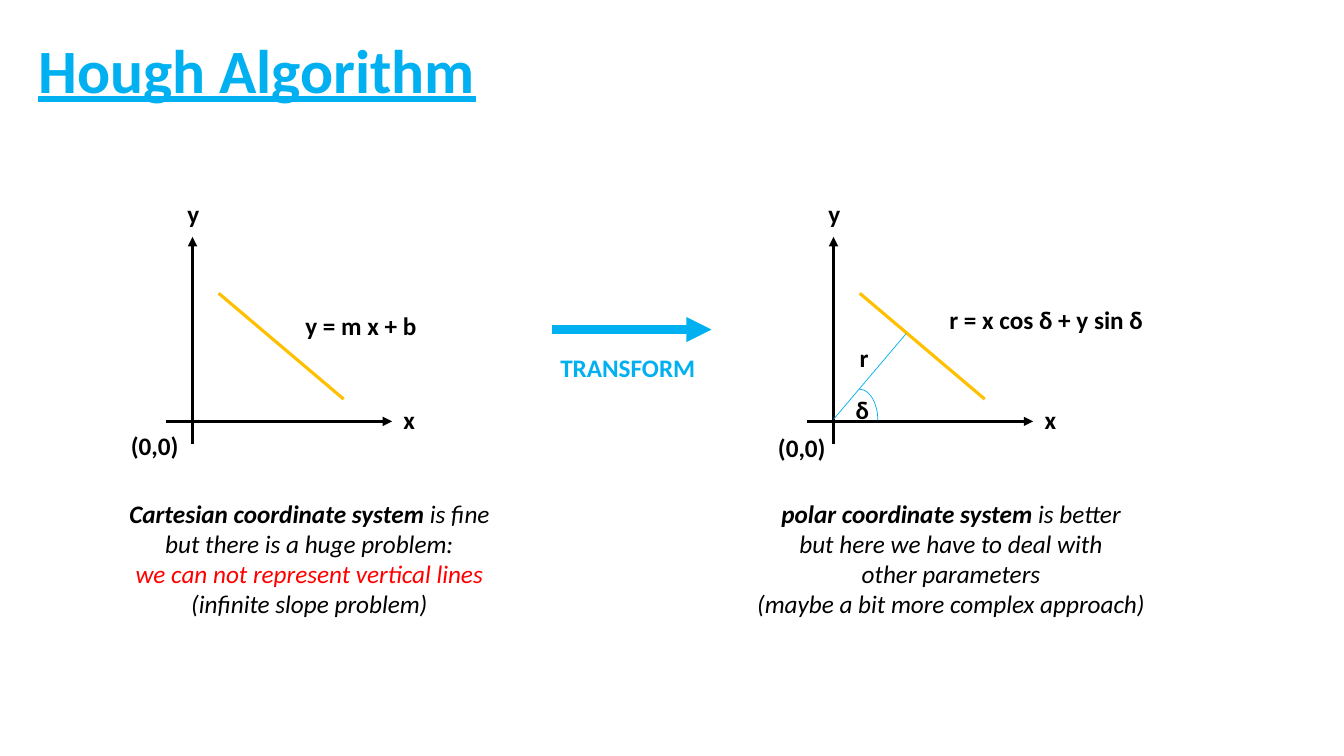
from lxml import etree
from pptx import Presentation
from pptx.dml.color import RGBColor
from pptx.enum.shapes import MSO_CONNECTOR, MSO_SHAPE
from pptx.enum.text import MSO_ANCHOR, MSO_AUTO_SIZE, PP_ALIGN
from pptx.oxml.ns import qn
from pptx.util import Pt

STRAIGHT = MSO_CONNECTOR.STRAIGHT
ARC = MSO_SHAPE.ARC
MIDDLE = MSO_ANCHOR.MIDDLE
GROW = MSO_AUTO_SIZE.SHAPE_TO_FIT_TEXT
LEFT, CENTER = PP_ALIGN.LEFT, PP_ALIGN.CENTER

FONT = "Calibri"
BLACK, BLUE, GOLD, RED = "000000", "00B0F0", "FFC000", "FF0000"
LABEL_HEIGHT = 28.8
TITLE = "Hough Algorithm"

PLOT_LEFTS = [118.8, 576.7]
AXES = [((18.7, 316.8), (18.7, 169.2)), ((0, 301), (161.3, 301))]
SLOPE = ((37.4, 209.5), (126.7, 285.1))
AXIS_LABELS = [("x", 162.3, 285.1), ("y", 7.9, 138.2)]

LABELS = [
    ("y = m x + b", 211, 218.2, 95, BLACK),
    ("(0,0)", 86.4, 303.8, 49, BLACK),
    ("r = x cos δ + y sin δ", 671, 213.8, 154.8, BLACK),
    ("(0,0)", 548.6, 305.3, 49, BLACK),
    ("r", 607, 241.2, 20.9, BLACK),
    ("δ", 604.1, 277.9, 24.5, BLACK),
    ("TRANSFORM", 393.1, 248.4, 111.6, BLUE),
]

CAPTIONS = [
    (83.5, 275, [
        [("Cartesian coordinate system ", True, BLACK), ("is fine", False, BLACK)],
        [("but there is a huge problem:", False, BLACK)],
        [("we can not represent vertical lines", False, RED)],
        [("(infinite slope problem)", False, BLACK)],
    ]),
    (532.1, 294.5, [
        [("polar coordinate system ", True, BLACK), ("is better", False, BLACK)],
        [("but here we have to deal with", False, BLACK)],
        [("other parameters", False, BLACK)],
        [("(maybe a bit more complex approach)", False, BLACK)],
    ]),
]


def color(value):
    return RGBColor.from_string(value)


def add_span(para, text, size, shade, bold, italic=False):
    span = para.add_run()
    span.text = text
    font = span.font
    font.name, font.size, font.bold, font.italic = FONT, Pt(size), bold, italic
    font.color.rgb = color(shade)
    return span


def add_text(page, left, top, width, height, lines, align=LEFT, italic=False):
    box = page.shapes.add_textbox(Pt(left), Pt(top), Pt(width), Pt(height))
    frame = box.text_frame
    frame.word_wrap = False
    frame.auto_size = GROW
    for index, spans in enumerate(lines):
        para = frame.add_paragraph() if index else frame.paragraphs[0]
        para.alignment = align
        for text, bold, shade in spans:
            add_span(para, text, 18, shade, bold, italic)


def add_label(page, text, left, top, width, shade=BLACK):
    add_text(page, left, top, width, LABEL_HEIGHT, [[(text, True, shade)]])


def add_line(page, start, end, shade, weight, arrow=False):
    line = page.shapes.add_connector(STRAIGHT, *map(Pt, (*start, *end)))
    line.line.color.rgb = color(shade)
    line.line.width = Pt(weight)
    if arrow:
        head = etree.SubElement(line.line._get_or_add_ln(), qn("a:tailEnd"))
        head.set("type", "triangle")
    etree.SubElement(line._element.spPr, qn("a:effectLst"))


def add_title(page):
    title = page.shapes.title
    title.left, title.top, title.width, title.height = Pt(20.2), Pt(0), Pt(828), Pt(104.4)
    title.text_frame.vertical_anchor = MIDDLE
    para = title.text_frame.paragraphs[0]
    para.alignment = LEFT
    para.line_spacing = 0.9
    add_span(para, TITLE, 44, BLUE, True).font.underline = True


def add_plot(page, plot_left):
    def shift(point):
        return plot_left + point[0], point[1]

    for start, end in AXES:
        add_line(page, shift(start), shift(end), BLACK, 2.25, arrow=True)
    add_line(page, *map(shift, SLOPE), GOLD, 2.25)
    for text, left, top in AXIS_LABELS:
        add_label(page, text, plot_left + left, top, 23)


def add_angle(page):
    add_line(page, (595.4, 299.5), (647.3, 238.3), BLUE, 0.5)
    arc = page.shapes.add_shape(ARC, Pt(600.5), Pt(277.9), Pt(26.6), Pt(44.6))
    arc.shadow.inherit = False
    arc.fill.background()
    arc.line.color.rgb = color(BLUE)
    arc.line.width = Pt(0.5)


def main():
    deck = Presentation()
    deck.slide_width, deck.slide_height = Pt(960), Pt(540)
    page = deck.slides.add_slide(deck.slide_layouts[5])
    add_title(page)
    for plot_left in PLOT_LEFTS:
        add_plot(page, plot_left)
    add_angle(page)
    add_line(page, (394.6, 235.4), (508.3, 235.4), BLUE, 6, arrow=True)
    for label in LABELS:
        add_label(page, *label)
    for left, width, lines in CAPTIONS:
        add_text(page, left, 352.1, width, 94.3, lines, CENTER, italic=True)
    deck.save("out.pptx")


if __name__ == "__main__":
    main()
